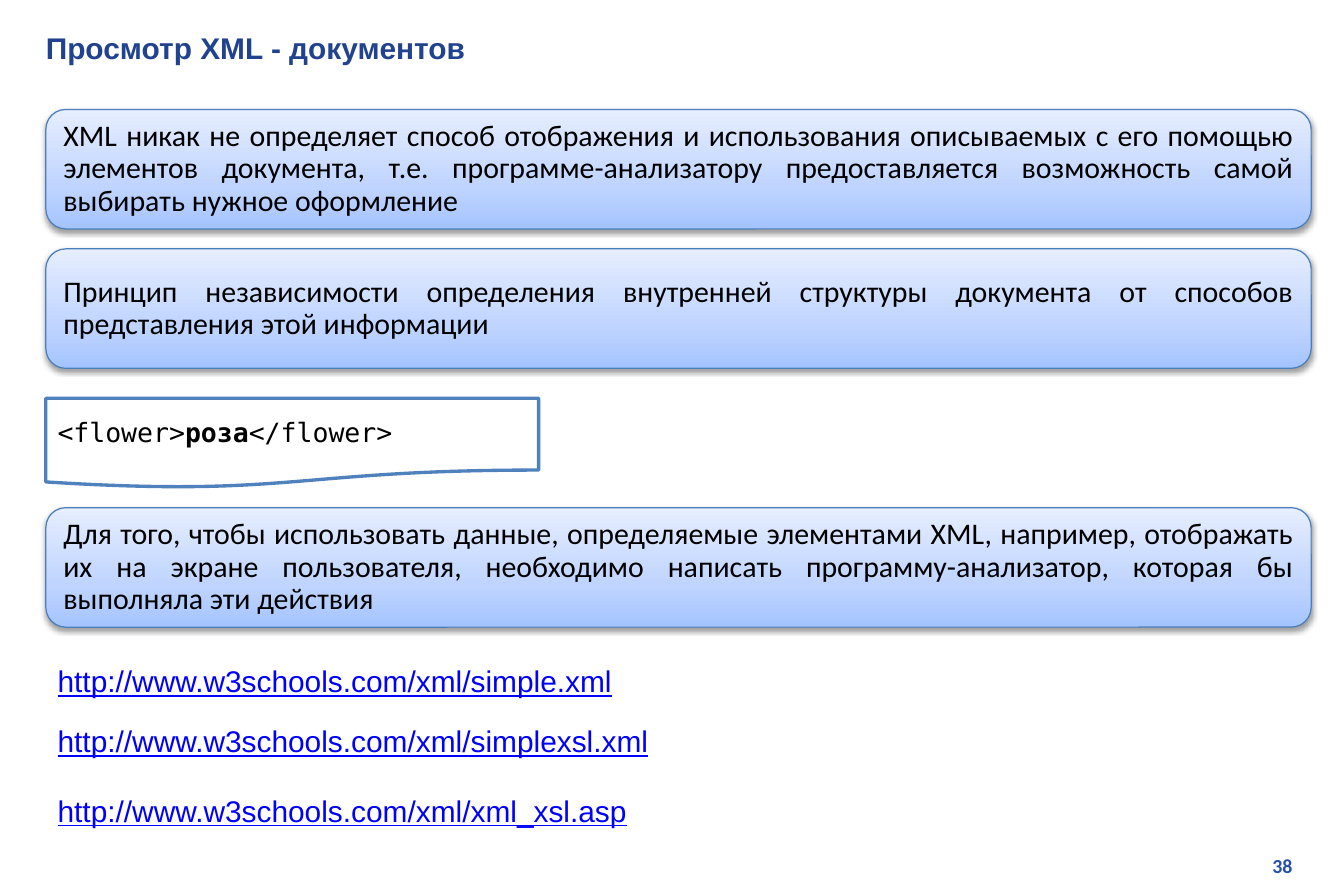
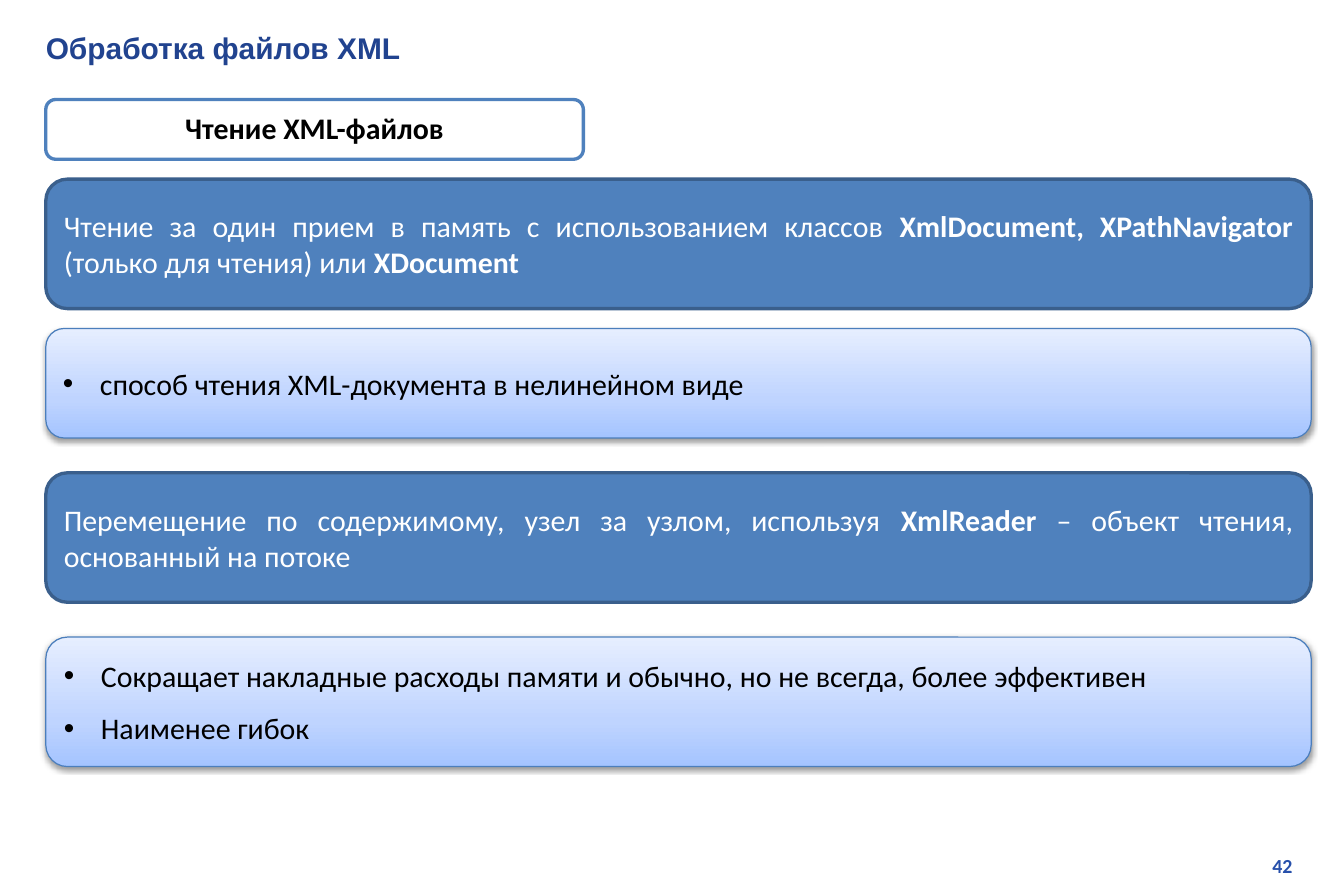
"""Build two lecture slides on viewing and processing XML files."""
from pptx import Presentation
from pptx.dml.color import RGBColor
from pptx.enum.shapes import MSO_SHAPE
from pptx.enum.text import MSO_ANCHOR, PP_ALIGN
from pptx.oxml import parse_xml
from pptx.oxml.ns import nsdecls
from pptx.util import Inches, Pt

WHITE = RGBColor(0xFF, 0xFF, 0xFF)
BLACK = RGBColor(0x00, 0x00, 0x00)
TITLE_BLUE = RGBColor(0x21, 0x43, 0x8F)
NUMBER_BLUE = RGBColor(0x27, 0x50, 0xAB)
LINK_BLUE = RGBColor(0x00, 0x00, 0xFF)
ACCENT = RGBColor(0x4F, 0x81, 0xBD)
ACCENT_DARK = RGBColor(0x3A, 0x5F, 0x8C)
PALE_LINE = RGBColor(0x4B, 0x7E, 0xBC)
PALE_STOPS = [
    (0, RGBColor(0xA4, 0xC4, 0xFF)),
    (35, RGBColor(0xBF, 0xD4, 0xFF)),
    (100, RGBColor(0xE6, 0xEE, 0xFF)),
]
PALE = (None, PALE_LINE, 0.75, BLACK)
SOLID = (ACCENT, ACCENT_DARK, 2, WHITE)
OUTLINE = (WHITE, ACCENT, 2, BLACK)
TITLE_FONT, BODY_FONT, CODE_FONT = "Arial", "Calibri", "DejaVu Sans Mono"

deck = Presentation()
deck.slide_width, deck.slide_height = Inches(11.25), Inches(7.5)
COLUMN = deck.slide_width / 135
ROW = deck.slide_height / 90
EDGE, FULL = 4.6, 127.1


def cells(column, row, columns, rows):
    return int(column * COLUMN), int(row * ROW), int(columns * COLUMN), int(rows * ROW)


def write(paragraph, runs, font, size, color):
    for text, bold in runs:
        run = paragraph.add_run()
        run.text = text
        run.font.name = font
        run.font.size = Pt(size)
        run.font.bold = bold
        run.font.color.rgb = color


pages = [
    ("Просмотр XML - документов", "38", [
        (11, FULL, 12, MSO_SHAPE.ROUNDED_RECTANGLE, PALE, PP_ALIGN.JUSTIFY, 0.9, False, [
            [("XML никак не определяет способ отображения и использования описываемых с его "
              "помощью элементов документа, т.е. программе-анализатору предоставляется "
              "возможность самой выбирать нужное оформление", False)]]),
        (25, FULL, 12, MSO_SHAPE.ROUNDED_RECTANGLE, PALE, PP_ALIGN.JUSTIFY, 0.9, False, [
            [("Принцип независимости определения внутренней структуры документа от способов "
              "представления этой информации", False)]]),
        (40, 49.5, 9, MSO_SHAPE.FLOWCHART_DOCUMENT, OUTLINE, PP_ALIGN.JUSTIFY, 0.9, False, [
            [("<flower>", False), ("роза", True), ("</flower>", False)]]),
        (51, FULL, 12, MSO_SHAPE.ROUNDED_RECTANGLE, PALE, PP_ALIGN.JUSTIFY, 0.9, False, [
            [("Для того, чтобы использовать данные, определяемые элементами XML, например, "
              "отображать их на экране пользователя, необходимо написать программу-анализатор, "
              "которая бы выполняла эти действия", False)]]),
    ], [
        (66, "http://www.w3schools.com/xml/simple.xml"),
        (72, "http://www.w3schools.com/xml/simplexsl.xml"),
        (79, "http://www.w3schools.com/xml/xml_xsl.asp"),
    ]),
    ("Обработка файлов XML", "42", [
        (10, 54, 6, MSO_SHAPE.ROUNDED_RECTANGLE, OUTLINE, PP_ALIGN.CENTER, 0.9, False, [
            [("Чтение XML-файлов", True)]]),
        (18, FULL, 13, MSO_SHAPE.ROUNDED_RECTANGLE, SOLID, PP_ALIGN.JUSTIFY, 1.0, False, [
            [("Чтение за один прием в память с использованием классов ", False),
             ("XmlDocument, XPathNavigator ", True),
             ("(только для чтения) или ", False), ("XDocument", True)]]),
        (33, FULL, 11, MSO_SHAPE.ROUNDED_RECTANGLE, PALE, PP_ALIGN.JUSTIFY, 1.0, True, [
            [("способ чтения XML-документа в нелинейном виде", False)]]),
        (47.5, FULL, 13, MSO_SHAPE.ROUNDED_RECTANGLE, SOLID, PP_ALIGN.JUSTIFY, 1.0, False, [
            [("Перемещение по содержимому, узел за узлом, используя ", False),
             ("XmlReader ", True), ("– объект чтения, основанный на потоке", False)]]),
        (64, FULL, 13, MSO_SHAPE.ROUNDED_RECTANGLE, PALE, PP_ALIGN.JUSTIFY, 1.0, True, [
            [("Сокращает накладные расходы памяти и обычно, но не всегда, более эффективен",
              False)],
            [("Наименее гибок", False)]]),
    ], []),
]

for heading, number, panels, links in pages:
    slide = deck.slides.add_slide(deck.slide_layouts[5])
    title = slide.shapes.title
    title.left, title.top, title.width, title.height = cells(3.4, 2.4, 128.9, 4.8)
    title.text_frame.vertical_anchor = MSO_ANCHOR.MIDDLE
    title_line = title.text_frame.paragraphs[0]
    title_line.alignment = PP_ALIGN.LEFT
    write(title_line, [(heading, True)], TITLE_FONT, 18, TITLE_BLUE)

    for row, columns, rows, outline, style, align, spacing, bulleted, paragraphs in panels:
        fill, line, weight, ink = style
        panel = slide.shapes.add_shape(outline, *cells(EDGE, row, columns, rows))
        panel.shadow.inherit = False
        panel.line.color.rgb = line
        panel.line.width = Pt(weight)
        if fill is None:
            stops = "".join(
                f'<a:gs pos="{share * 1000}"><a:srgbClr val="{color}"/></a:gs>'
                for share, color in PALE_STOPS)
            properties = panel._element.spPr
            properties.insert(2, parse_xml(
                f'<a:gradFill {nsdecls("a")} rotWithShape="1"><a:gsLst>{stops}</a:gsLst>'
                '<a:lin ang="16200000" scaled="0"/></a:gradFill>'))
            properties.find("{*}effectLst").append(parse_xml(
                f'<a:outerShdw {nsdecls("a")} blurRad="40000" dist="20000" dir="5400000" '
                'rotWithShape="0"><a:srgbClr val="000000"><a:alpha val="38000"/>'
                '</a:srgbClr></a:outerShdw>'))
        else:
            panel.fill.solid()
            panel.fill.fore_color.rgb = fill

        frame = panel.text_frame
        frame.word_wrap = True
        frame.vertical_anchor = MSO_ANCHOR.MIDDLE
        is_code = outline == MSO_SHAPE.FLOWCHART_DOCUMENT
        font, size = (CODE_FONT, 16) if is_code else (BODY_FONT, 18)
        for index, runs in enumerate(paragraphs):
            paragraph = frame.add_paragraph() if index else frame.paragraphs[0]
            if bulleted:
                layout = paragraph._p.get_or_add_pPr()
                layout.set("marL", str(Inches(0.31)))
                layout.set("indent", str(-Inches(0.31)))
                layout.append(parse_xml(f'<a:buFont {nsdecls("a")} typeface="Arial"/>'))
                layout.append(parse_xml(f'<a:buChar {nsdecls("a")} char="•"/>'))
            paragraph.alignment = align
            paragraph.line_spacing = spacing
            if spacing == 1.0:
                paragraph.space_after = Pt(10)
            write(paragraph, runs, font, size, ink)

    for row, address in links:
        link = slide.shapes.add_textbox(*cells(EDGE, row, 62, 4.8))
        link.text_frame.word_wrap = False
        link_line = link.text_frame.paragraphs[0]
        write(link_line, [(address, False)], TITLE_FONT, 18, LINK_BLUE)
        link_line.runs[0].font.underline = True

    page_number = slide.shapes.add_textbox(*cells(102.5, 85.2, 28.5, 3.6))
    page_number.text_frame.word_wrap = True
    number_line = page_number.text_frame.paragraphs[0]
    number_line.alignment = PP_ALIGN.RIGHT
    write(number_line, [(number, True)], BODY_FONT, 12, NUMBER_BLUE)

deck.save("out.pptx")
